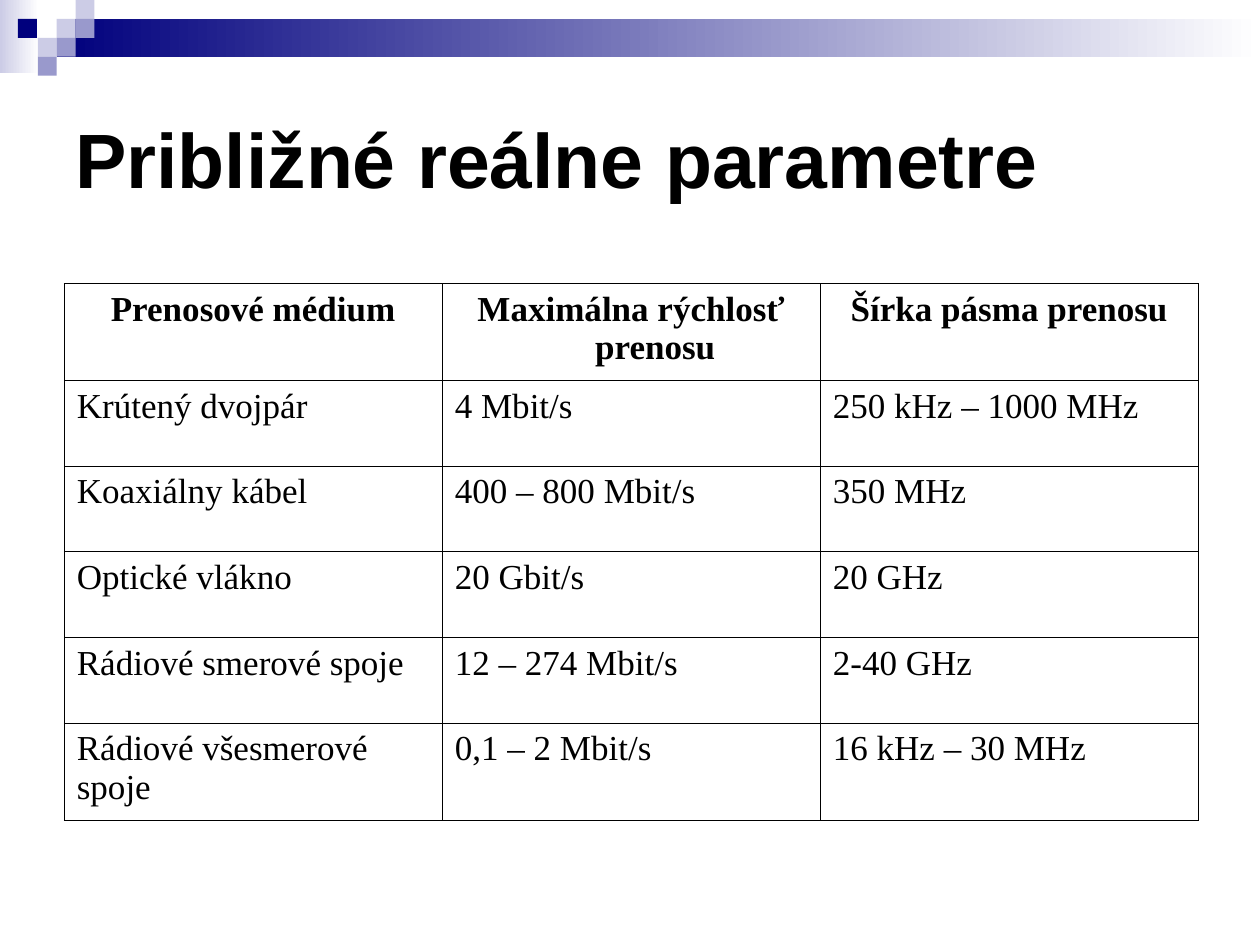
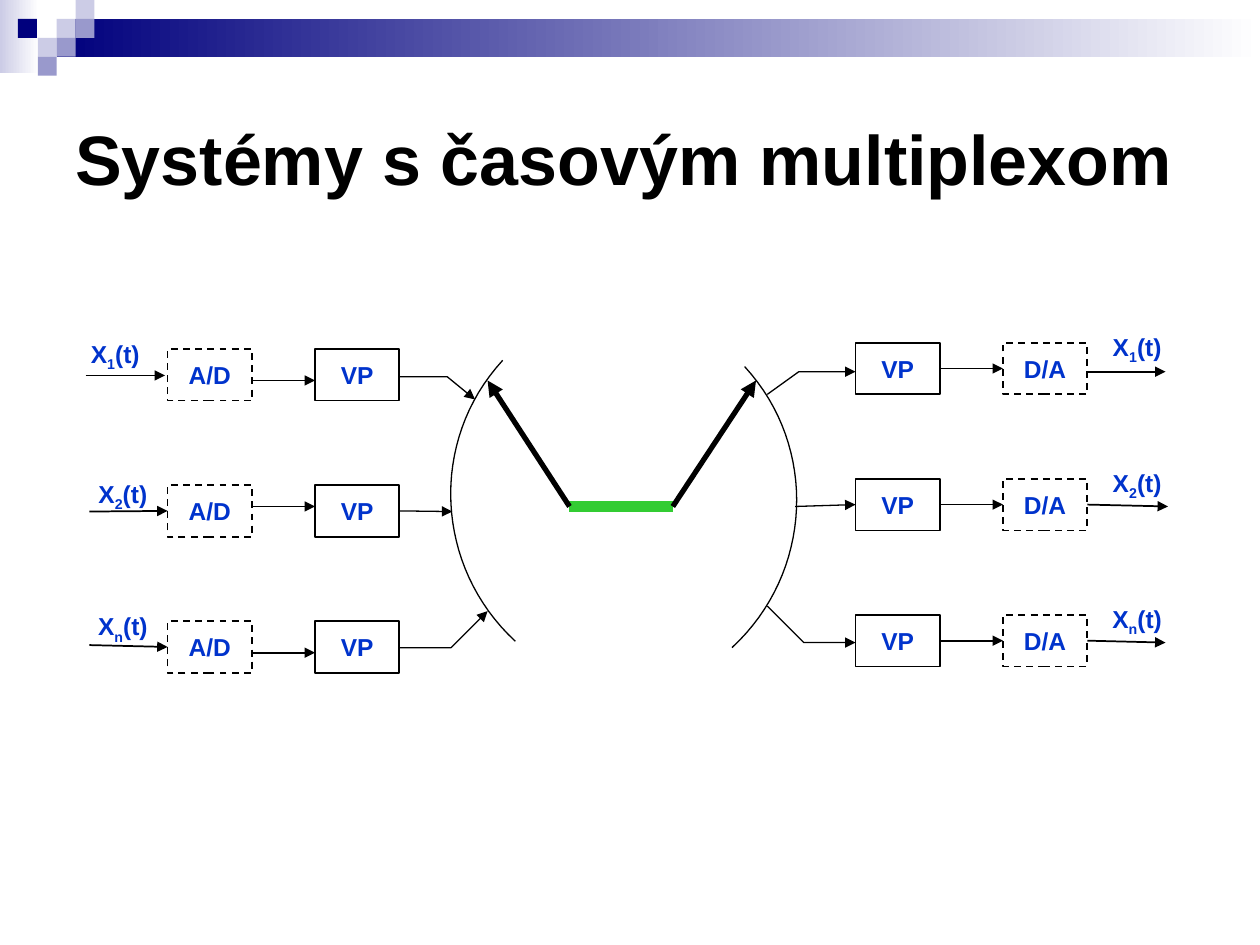
import pptx
import pptx.util
import pptx.dml.color
import pptx.enum.dml
import pptx.enum.shapes
import pptx.enum.text
import pptx.oxml
import pptx.oxml.ns

RGB = pptx.dml.color.RGBColor
NAVY = RGB(0x00, 0x00, 0x7D)
LILAC = RGB(0x99, 0x99, 0xCC)
PALE = RGB(0xCC, 0xCC, 0xE6)
WHITE = RGB(0xFF, 0xFF, 0xFF)
BLACK = RGB(0x00, 0x00, 0x00)
BLUE = RGB(0x00, 0x33, 0xCC)
GREEN = RGB(0x33, 0xCC, 0x33)

ALIGN = pptx.enum.text.PP_ALIGN
MID = pptx.enum.text.MSO_ANCHOR.MIDDLE
RECT = pptx.enum.shapes.MSO_SHAPE.RECTANGLE
LINE = pptx.enum.shapes.MSO_CONNECTOR.STRAIGHT
DASH = pptx.enum.dml.MSO_LINE.DASH
Inch, Pt = pptx.util.Inches, pptx.util.Pt

WIDE, HIGH = 10, 7.5
TILE = 0.15
TILES = [(3, 1, PALE), (4, 0, PALE), (4, 1, LILAC), (2, 2, PALE),
         (0.95, 1, NAVY), (3, 2, LILAC), (2, 3, LILAC)]
FADES = [((0, 0, 0.31, 0.58), PALE), ((0.45, TILE, 9.55, 2 * TILE), NAVY)]

HEAD = dict(name="Arial", bold=True)
TAG = dict(name="Arial", size=Pt(14), bold=True)
CELL = dict(name="Times New Roman", size=Pt(20))

TITLES = [("Približné reálne parametre", 44),
          ("Systémy s časovým multiplexom", 40)]
MEDIA = [
    ("Prenosové médium", "Maximálna rýchlosť prenosu", "Šírka pásma prenosu"),
    ("Krútený dvojpár", "4 Mbit/s", "250 kHz – 1000 MHz"),
    ("Koaxiálny kábel", "400 – 800 Mbit/s", "350 MHz"),
    ("Optické vlákno", "20 Gbit/s", "20 GHz"),
    ("Rádiové smerové spoje", "12 – 274 Mbit/s", "2-40 GHz"),
    ("Rádiové všesmerové spoje", "0,1 – 2 Mbit/s", "16 kHz – 30 MHz"),
]
ROWS = [0.77, 0.68, 0.68, 0.68, 0.68, 0.77]

BOX = (0.67, 0.41)
STEP = 1.08
BANKS = [("A/D", 1.33, 2.77, DASH), ("VP", 2.5, 2.77, None),
         ("VP", 6.79, 2.72, None), ("D/A", 7.96, 2.72, DASH)]
SUBS = ["1", "2", "n"]
SIGNS = [[(0.58, 2.6), (0.64, 3.71), (0.64, 4.76)],
         [(8.69, 2.54 + STEP * i) for i in range(3)]]
INS = [(0.68, 2.98, 1.31), (0.71, 4.06, 1.34), (0.71, 5.12, 1.34)]
LINKS = [(2, y, 2.5) for y in (3.02, 4.02, 5.18)]
LINKS += [(7.46, 2.93 + STEP * i, 7.96) for i in range(3)]
OUTS = [(8.62, 2.95, 9.25), (8.64, 4.02, 9.27), (8.62, 5.1, 9.25)]
TAPS = [(3.17, 4.06, 3.59), (6.31, 4.02, 6.79)]
BENDS = [[(3.17, 2.99), (3.55, 2.99), (3.77, 3.17)],
         [(3.17, 5.14), (3.58, 5.14), (3.87, 4.85)],
         [(6.09, 3.13), (6.34, 2.95), (6.79, 2.95)],
         [(6.09, 4.81), (6.38, 5.1), (6.79, 5.1)]]
ARC = [(3.99, 2.86), (3.4, 3.5), (3.45, 4.5), (4.09, 5.09)]
ARCS = [ARC, [(9.9 - x, y + 0.05) for x, y in ARC]]
ARMS = [(4.52, 4.02, 3.87, 3.02), (5.34, 4.02, 6, 3.02)]
TRUNK = (4.52, 4.02, 5.34, 4.02)


def style(item, form):
    for key, value in form.items():
        setattr(item, key, value)


def node(tag, **attrs):
    part = pptx.oxml.parse_xml(f"<a:{tag} {pptx.oxml.ns.nsdecls('a')}/>")
    for key, value in attrs.items():
        part.set(key, value)
    return part


def ink(shape, width, color=BLACK, arrow=False, dash=None):
    shape.line.color.rgb = color
    style(shape.line, dict(width=Pt(width), dash_style=dash))
    if arrow:
        ln = shape._element.spPr.find(pptx.oxml.ns.qn("a:ln"))
        ln.append(node("tailEnd", type="triangle"))


def write(para, text, form, color):
    run = para.add_run()
    run.text = text
    style(run.font, form)
    run.font.color.rgb = color
    return run


def rect(slide, *at):
    shape = slide.shapes.add_shape(RECT, *map(Inch, at))
    shape.shadow.inherit = False
    shape.line.fill.background()
    return shape


def label(slide, at, align, wrap=False):
    box = slide.shapes.add_textbox(*map(Inch, at))
    style(box.text_frame, dict(word_wrap=wrap, vertical_anchor=MID))
    para = box.text_frame.paragraphs[0]
    para.alignment = align
    return para


def frame(deck, title, size):
    slide = deck.slides.add_slide(deck.slide_layouts[6])
    for at, color in FADES:
        fill = rect(slide, *at).fill
        fill.gradient()
        fill.gradient_angle = 0
        for stop, tone in zip(fill.gradient_stops, (color, WHITE)):
            stop.color.rgb = tone
    for col, row, color in TILES:
        fill = rect(slide, col * TILE, row * TILE, TILE, TILE).fill
        fill.solid()
        fill.fore_color.rgb = color
    para = label(slide, (0.05 * WIDE, 0.5, 0.9 * WIDE, 0.2 * HIGH), ALIGN.LEFT, True)
    write(para, title, dict(HEAD, size=Pt(size)), BLACK)
    return slide


def border(cell):
    props = cell._tc.get_or_add_tcPr()
    for i, side in enumerate(("lnL", "lnR", "lnT", "lnB")):
        edge = node(side, w=str(Pt(0.45)))
        fill = node("solidFill")
        fill.append(node("srgbClr", val=str(BLACK)))
        edge.append(fill)
        props.insert(i, edge)


def grid(slide):
    count = len(MEDIA[0])
    at = (0.51, 2.25, 0.9 * WIDE, sum(ROWS))
    table = slide.shapes.add_table(len(MEDIA), count, *map(Inch, at)).table
    style(table, dict(first_row=False, horz_banding=False))
    for col in table.columns:
        col.width = Inch(0.9 * WIDE / count)
    for r, line in enumerate(MEDIA):
        table.rows[r].height = Inch(ROWS[r])
        for c, text in enumerate(line):
            cell = table.cell(r, c)
            cell.fill.background()
            border(cell)
            para = cell.text_frame.paragraphs[0]
            if (r, c) != (len(MEDIA) - 1, 0):
                para.alignment = ALIGN.JUSTIFY if r else ALIGN.CENTER
                props = para._p.get_or_add_pPr()
                props.set("marL", str(Inch(0.38)))
                props.set("indent", str(-Inch(0.38)))
            write(para, text, dict(CELL, bold=r == 0), BLACK)


def block(slide, text, x, y, dash):
    shape = rect(slide, x, y, *BOX)
    shape.fill.background()
    ink(shape, 1, dash=dash)
    body = shape.text_frame
    style(body, dict(word_wrap=False, vertical_anchor=MID))
    body.paragraphs[0].alignment = ALIGN.CENTER
    write(body.paragraphs[0], text, TAG, BLUE)
    return shape


def dock(boxes, x, y):
    near = Inch(0.02)
    for box in boxes:
        midx, midy = box.left + box.width / 2, box.top + box.height / 2
        spots = [(midx, box.top), (box.left, midy),
                 (midx, box.top + box.height), (box.left + box.width, midy)]
        for site, (sx, sy) in enumerate(spots):
            if abs(sx - Inch(x)) < near and abs(sy - Inch(y)) < near:
                return box, site
    return None


def wire(slide, boxes, ends, width, color=BLACK, arrow=True):
    line = slide.shapes.add_connector(LINE, *map(Inch, ends))
    line._element.spPr.append(node("effectLst"))
    ink(line, width, color, arrow)
    for join, spot in ((line.begin_connect, ends[:2]), (line.end_connect, ends[2:])):
        found = dock(boxes, *spot)
        if found:
            join(*found)
    return line


def trace(slide, points, arrow=False):
    spots = [(Inch(x), Inch(y)) for x, y in points]
    pen = slide.shapes.build_freeform(*spots[0])
    pen.add_line_segments(spots[1:], close=False)
    shape = pen.convert_to_shape()
    shape.shadow.inherit = False
    shape.fill.background()
    ink(shape, 0.75, arrow=arrow)


def curve(knots, steps=32):
    points = []
    for i in range(steps + 1):
        t = i / steps
        mix = ((1 - t) ** 3, 3 * t * (1 - t) ** 2, 3 * t * t * (1 - t), t ** 3)
        points.append([sum(m * k[axis] for m, k in zip(mix, knots)) for axis in (0, 1)])
    return points


def scheme(slide):
    boxes = [block(slide, text, x, top + i * STEP, dash)
             for text, x, top, dash in BANKS for i in range(len(SUBS))]
    for side in SIGNS:
        for sub, spot in zip(SUBS, side):
            para = label(slide, (*spot, 0.67, 0.45), ALIGN.CENTER)
            write(para, "X", TAG, BLUE)
            low = write(para, sub, TAG, BLUE)
            low._r.get_or_add_rPr().set("baseline", "-25000")
            write(para, "(t)", TAG, BLUE)
    for group, width in ((INS + LINKS + OUTS, 1), (TAPS, 0.75)):
        for x, y, end in group:
            wire(slide, boxes, (x, y, end, y), width)
    for knots in ARCS:
        trace(slide, curve(knots))
    for bend in BENDS:
        trace(slide, bend, True)
    wire(slide, boxes, TRUNK, 6, GREEN, False)
    for arm in ARMS:
        wire(slide, boxes, arm, 3)


def main():
    deck = pptx.Presentation()
    style(deck, dict(slide_width=Inch(WIDE), slide_height=Inch(HIGH)))
    for (title, size), draw in zip(TITLES, (grid, scheme)):
        draw(frame(deck, title, size))
    deck.save("out.pptx")


if __name__ == "__main__":
    main()
